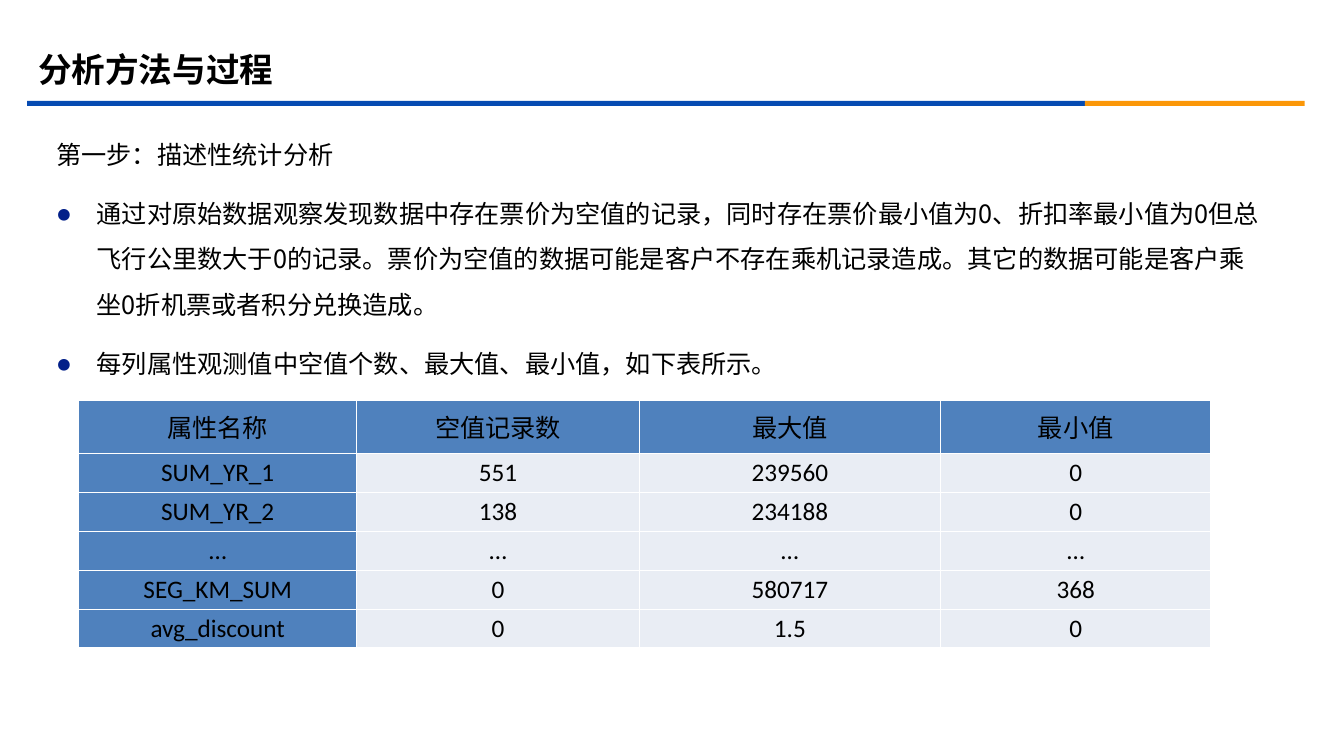
from lxml import etree
from pptx import Presentation
from pptx.dml.color import RGBColor
from pptx.enum.shapes import MSO_SHAPE
from pptx.enum.text import MSO_ANCHOR, PP_ALIGN
from pptx.oxml.ns import qn
from pptx.util import Inches, Pt

TITLE = "分析方法与过程"
STEP = "第一步：描述性统计分析"
FINDINGS = [
    "通过对原始数据观察发现数据中存在票价为空值的记录，同时存在票价最小值为0、折扣率最小值为0但"
    "总飞行公里数大于0的记录。票价为空值的数据可能是客户不存在乘机记录造成。其它的数据可能是客户"
    "乘坐0折机票或者积分兑换造成。",
    "每列属性观测值中空值个数、最大值、最小值，如下表所示。",
]
STATISTICS = [
    ("属性名称", "空值记录数", "最大值", "最小值"),
    ("SUM_YR_1", "551", "239560", "0"),
    ("SUM_YR_2", "138", "234188", "0"),
    ("…", "…", "…", "…"),
    ("SEG_KM_SUM", "0", "580717", "368"),
    ("avg_discount", "0", "1.5", "0"),
]
COLUMN_WIDTHS = (2.76, 2.8, 2.99, 2.68)
HEADER_HEIGHT, TABLE_HEIGHT = 0.53, 2.46
RULE_PARTS = [(0.27, 10.49, "blue"), (10.76, 2.18, "orange")]

THEME = {
    "blue": "064BB2", "orange": "FB9708", "bullet": "032089", "text": "000000",
    "header": "4F81BD", "cell": "E9EDF4", "border": "FFFFFF",
    "title_size": 24, "body_size": 18,
    "chinese": "Noto Sans CJK SC", "latin": "Calibri",
}


def color(name):
    return RGBColor.from_string(THEME[name])


def add_run(paragraph, text, size, latin, bold=False):
    run = paragraph.add_run()
    run.text = text
    run.font.size = Pt(THEME[size])
    run.font.bold = bold
    run.font.color.rgb = color("text")
    run.font.name = THEME[latin]
    east_asian = etree.Element(qn("a:ea"), typeface=THEME["chinese"])
    run.font._element.find(qn("a:latin")).addnext(east_asian)


def add_text_frame(slide, left, top, width, height):
    box = slide.shapes.add_textbox(*map(Inches, (left, top, width, height)))
    box.text_frame.word_wrap = True
    return box.text_frame


def set_bullet(paragraph):
    properties = paragraph._p.get_or_add_pPr()
    properties.set("marL", str(Inches(0.4)))
    properties.set("indent", str(-Inches(0.4)))
    bullet_color = etree.SubElement(properties, qn("a:buClr"))
    etree.SubElement(bullet_color, qn("a:srgbClr"), val=THEME["bullet"])
    etree.SubElement(properties, qn("a:buFont"), typeface=THEME["latin"])
    etree.SubElement(properties, qn("a:buChar"), char="●")


def set_borders(cell):
    properties = cell._tc.get_or_add_tcPr()
    for position, side in enumerate(("lnL", "lnR", "lnT", "lnB")):
        line = etree.Element(qn(f"a:{side}"), w=str(Pt(1)))
        fill = etree.SubElement(line, qn("a:solidFill"))
        etree.SubElement(fill, qn("a:srgbClr"), val=THEME["border"])
        properties.insert(position, line)


def add_rule(slide):
    for left, width, fill in RULE_PARTS:
        bar = slide.shapes.add_shape(
            MSO_SHAPE.RECTANGLE, Inches(left), Inches(1), Inches(width), Inches(0.05))
        bar.shadow.inherit = False
        bar.fill.solid()
        bar.fill.fore_color.rgb = color(fill)
        bar.line.fill.background()


def add_body(slide):
    frame = add_text_frame(slide, 0.46, 1.18, 12.15, 5.52)
    for index, text in enumerate([STEP, *FINDINGS]):
        paragraph = frame.add_paragraph() if index else frame.paragraphs[0]
        paragraph.line_spacing = 1.5
        paragraph.space_before = Pt(10)
        if index:
            set_bullet(paragraph)
        add_run(paragraph, text, "body_size", "chinese")


def add_statistics(slide):
    table = slide.shapes.add_table(
        len(STATISTICS), len(COLUMN_WIDTHS), Inches(0.78), Inches(3.97),
        Inches(sum(COLUMN_WIDTHS)), Inches(TABLE_HEIGHT)).table
    for column, width in zip(table.columns, COLUMN_WIDTHS):
        column.width = Inches(width)
    row_height = (TABLE_HEIGHT - HEADER_HEIGHT) / (len(STATISTICS) - 1)
    for row_index, values in enumerate(STATISTICS):
        table.rows[row_index].height = Inches(row_height if row_index else HEADER_HEIGHT)
        for column_index, value in enumerate(values):
            cell = table.cell(row_index, column_index)
            cell.margin_left = cell.margin_right = Inches(0.07)
            cell.margin_top = cell.margin_bottom = 0
            cell.vertical_anchor = MSO_ANCHOR.MIDDLE
            cell.fill.solid()
            is_heading = row_index == 0 or column_index == 0
            cell.fill.fore_color.rgb = color("header" if is_heading else "cell")
            set_borders(cell)
            paragraph = cell.text_frame.paragraphs[0]
            paragraph.alignment = PP_ALIGN.CENTER
            add_run(paragraph, value, "body_size", "latin")


def main():
    presentation = Presentation()
    presentation.slide_width = Inches(13.33)
    presentation.slide_height = Inches(7.5)
    slide = presentation.slides.add_slide(presentation.slide_layouts[6])
    add_rule(slide)
    add_body(slide)
    title = add_text_frame(slide, 0.28, 0.39, 12, 0.58)
    title.vertical_anchor = MSO_ANCHOR.MIDDLE
    add_run(title.paragraphs[0], TITLE, "title_size", "chinese", bold=True)
    add_statistics(slide)
    presentation.save("out.pptx")


if __name__ == "__main__":
    main()
